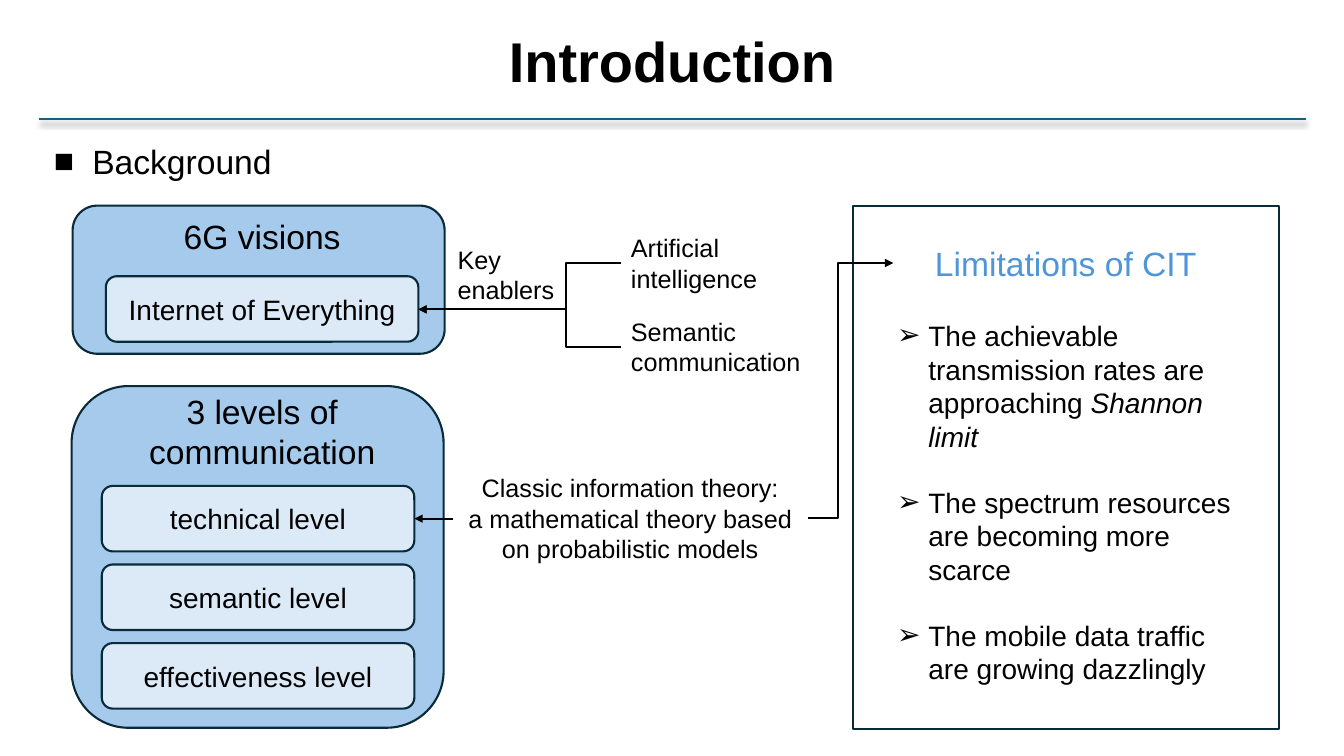
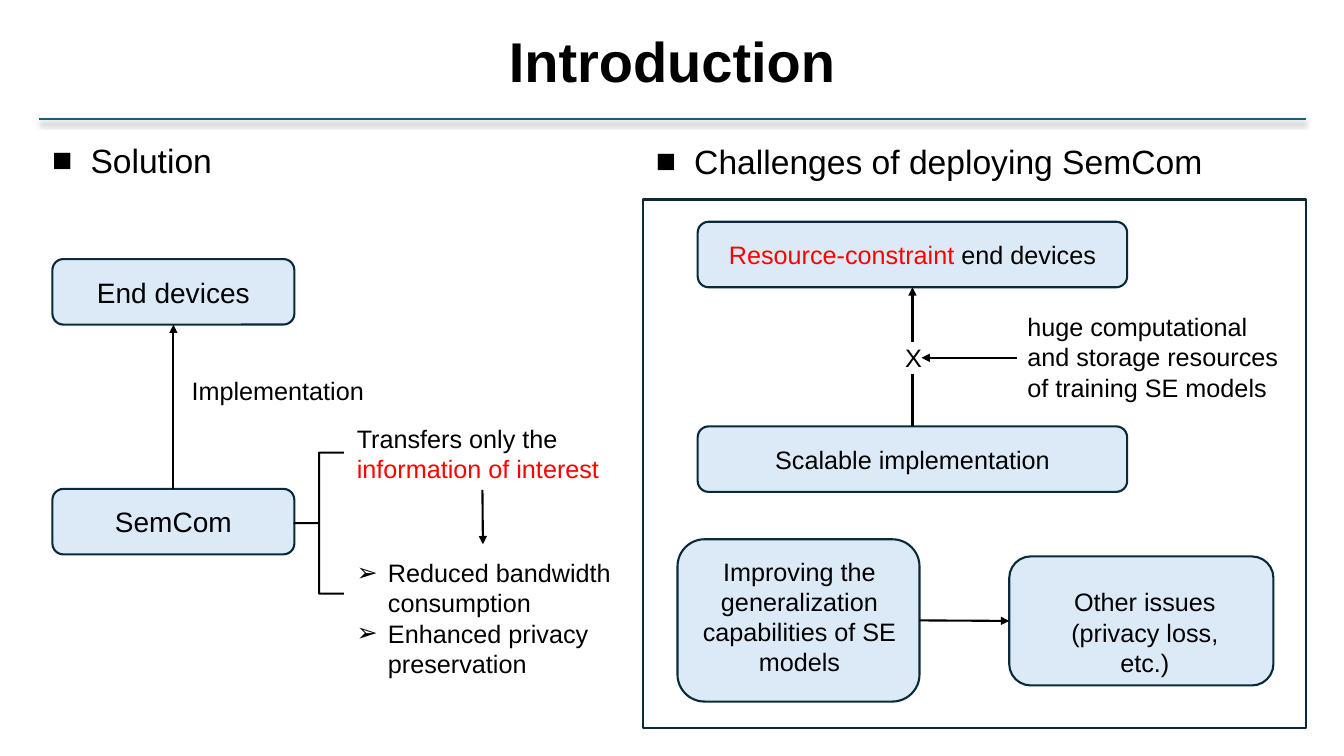
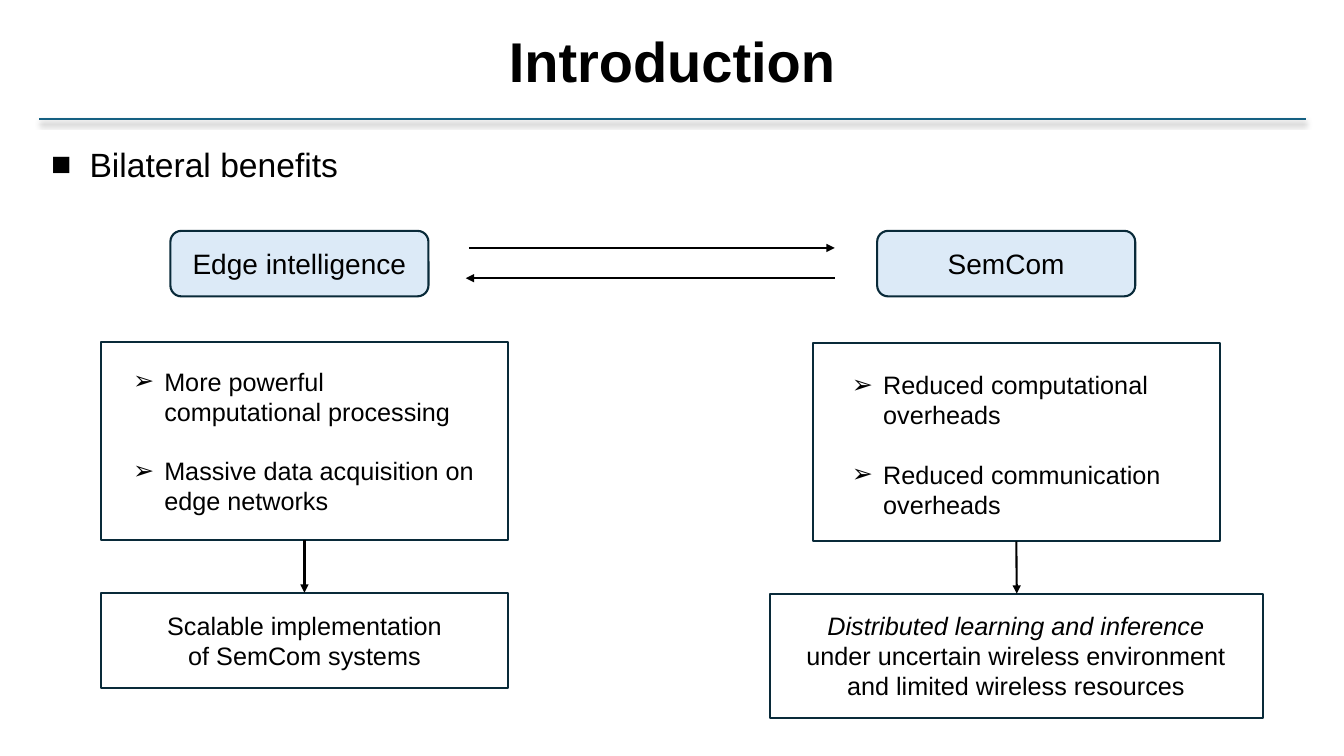
from lxml import etree
from pptx import Presentation
from pptx.dml.color import RGBColor
from pptx.enum.shapes import MSO_CONNECTOR, MSO_SHAPE
from pptx.enum.text import MSO_ANCHOR, PP_ALIGN
from pptx.oxml.ns import qn
from pptx.util import Inches, Pt

STRAIGHT, ELBOW = MSO_CONNECTOR.STRAIGHT, MSO_CONNECTOR.ELBOW
RECT, ROUND, BRACE = MSO_SHAPE.RECTANGLE, MSO_SHAPE.ROUNDED_RECTANGLE, MSO_SHAPE.LEFT_BRACE
LEFT, CENTER = PP_ALIGN.LEFT, PP_ALIGN.CENTER
TOP, MIDDLE = MSO_ANCHOR.TOP, MSO_ANCHOR.MIDDLE
SITE_TOP, SITE_LEFT, SITE_BOTTOM, SITE_RIGHT = range(4)

FONT = "Arial"
LINE_PT = 1.5
LINE_HEIGHT = 1.15
C = {"text": "000000", "edge": "092A39", "rule": "156082", "group": "A6CAEC",
     "node": "DCEAF7", "accent": "4E95D9", "alert": "FF0000"}

# Part styles: preset shape (None is a text box), fill, alignment, bullet, bullet indent
STYLES = {
    "group": (ROUND, "group", CENTER, None, 0),
    "node": (ROUND, "node", CENTER, None, 0),
    "panel": (RECT, None, CENTER, None, 0),
    "list panel": (RECT, None, LEFT, "➢", 0.31),
    "brace": (BRACE, None, CENTER, None, 0),
    "label": (None, None, LEFT, None, 0),
    "caption": (None, None, CENTER, None, 0),
    "list": (None, None, LEFT, "➢", 0.31),
    "heading": (None, None, CENTER, "■", 0.38),
}

# Content. Part: style, (x, y, w, h), size, paragraphs, options.
# A paragraph is a list of runs; a run is text or (text, "italic" or colour name).
# Link: begin, end, arrow, elbow share; an end is (x, y) or (part, site).
TITLE = "Introduction"
LEVELS = ["technical level", "semantic level", "effectiveness level"]
LEVEL_TOP, LEVEL_STEP, NODE_H = 4.82, 0.78, 0.65

background = {
    "levels": ("group", (0.71, 3.83, 3.69, 3.39), 24, []),
    "visions": ("group", (0.72, 2.04, 3.69, 1.47), 24, []),
    "heading": ("heading", (0.35, 1.35, 2.53, 0.5), 24, [["Background"]]),
    "visions title": ("caption", (1.58, 2.09, 2.04, 0.5), 24, [["6G visions"]]),
    "internet": ("node", (1.05, 2.74, 3.1, NODE_H), 20, [["Internet of Everything"]]),
    "levels title": ("caption", (0.89, 3.83, 3.42, 0.91), 24, [["3 levels of communication"]]),
    **{name: ("node", (1.01, LEVEL_TOP + i * LEVEL_STEP, 3.1, NODE_H), 20, [[name]])
       for i, name in enumerate(LEVELS)},
    "enablers": ("label", (4.44, 2.37, 1.5, 0.71), 18, [["Key enablers"]]),
    "ai": ("label", (6.16, 2.26, 1.5, 0.71), 18, [["Artificial intelligence"]]),
    "semantic": ("label", (6.16, 3.09, 2, 0.71), 18, [["Semantic communication"]]),
    "theory": ("caption", (4.49, 4.64, 3.52, 1.01), 18,
               [["Classic information theory:"],
                ["a mathematical theory based on probabilistic models"]]),
    "limits": ("panel", (8.46, 2.04, 4.23, 5.19), 20, []),
    "limits title": ("caption", (8.86, 2.36, 3.42, 0.5), 24, [[("Limitations of CIT", "accent")]]),
    "limits list": ("list", (8.8, 3.11, 3.64, 3.8), 20,
                    [["The achievable transmission rates are approaching ", ("Shannon limit", "italic")],
                     ["The spectrum resources are becoming more scarce"],
                     ["The mobile data traffic are growing dazzlingly"]], {"gap": 1}),
}
background_links = [
    ((6.16, 2.61), (4.15, 3.07), True, 0.27),
    ((6.16, 3.44), (4.15, 3.07), True, 0.27),
    (("theory", SITE_LEFT), (LEVELS[0], SITE_RIGHT), True, None),
    ((8.01, 5.14), (8.86, 2.61), True, 0.35),
]

solution = {
    "heading": ("heading", (0.39, 1.34, 1.84, 0.5), 24, [["Solution"]]),
    "devices": ("node", (0.52, 2.57, 2.4, NODE_H), 20, [["End devices"]]),
    "semcom": ("node", (0.52, 4.85, 2.4, NODE_H), 20, [["SemCom"]]),
    "implementation": ("caption", (1.78, 3.67, 1.95, 0.4), 18, [["Implementation"]]),
    "brace": ("brace", (2.92, 4.49, 0.49, 1.4), 18, []),
    "transfer": ("label", (3.44, 4.15, 2.69, 0.71), 18,
                 [["Transfers only the ", ("information of interest", "alert")]]),
    "gains": ("list", (3.44, 5.48, 2.9, 1.31), 18,
              [["Reduced bandwidth consumption"], ["Enhanced privacy preservation"]]),
    "challenges": ("heading", (6.34, 1.35, 5.75, 0.5), 24, [["Challenges of deploying SemCom"]]),
    "frame": ("panel", (6.38, 1.98, 6.57, 5.24), 18, []),
    "constraint": ("node", (6.92, 2.2, 4.26, NODE_H), 18,
                   [[("Resource-constraint", "alert"), " end devices"]]),
    "scalable": ("node", (6.92, 4.23, 4.26, NODE_H), 18, [["Scalable implementation"]]),
    "cross": ("caption", (8.7, 3.35, 0.72, 0.4), 18, [["X"]]),
    "cost": ("label", (10.09, 3.04, 2.71, 1.02), 18,
             [["huge computational and storage resources of training SE models"]]),
    "improving": ("node", (6.72, 5.35, 2.4, 1.61), 18,
                  [["Improving the generalization capabilities of SE models"]],
                  {"inset": (0.1, 0, 0.08, 0.08)}),
    "issues": ("node", (10.01, 5.52, 2.62, 1.28), 18,
               [["Other issues"], ["(privacy loss, etc.)"]], {"inset": (0.3, 0.22, 0.23, 0)}),
}
solution_links = [
    (("semcom", SITE_TOP), ("devices", SITE_BOTTOM), True, None),
    (("transfer", SITE_BOTTOM), (4.79, 5.4), True, None),
    ((9.05, 3.39), ("constraint", SITE_BOTTOM), True, None),
    (("scalable", SITE_TOP), (9.05, 3.71), False, None),
    (("cost", SITE_LEFT), (9.14, 3.55), True, None),
    (("improving", SITE_RIGHT), ("issues", SITE_LEFT), True, None),
]

benefits = {
    "heading": ("heading", (0.39, 1.38, 3.08, 0.5), 24, [["Bilateral benefits"]]),
    "edge": ("node", (1.69, 2.29, 2.56, NODE_H), 20, [["Edge intelligence"]]),
    "semcom": ("node", (8.7, 2.29, 2.56, NODE_H), 20, [["SemCom"]]),
    "edge gains": ("list panel", (1, 3.39, 4.04, 1.97), 18,
                   [["More powerful computational processing"],
                    ["Massive data acquisition on edge networks"]],
                   {"gap": 1, "inset": (0.32, 0.05, 0.32, 0.05)}),
    "semcom gains": ("list panel", (8.06, 3.4, 4.04, 1.97), 18,
                     [["Reduced computational overheads"], ["Reduced communication overheads"]],
                     {"gap": 1, "inset": (0.39, 0.08, 0.25, 0.03)}),
    "edge result": ("panel", (1, 5.88, 4.04, 0.95), 18,
                    [["Scalable implementation of SemCom systems"]],
                    {"inset": (0.65, 0.05, 0.65, 0.05)}),
    "semcom result": ("panel", (7.64, 5.89, 4.89, 1.23), 18,
                      [[("Distributed learning and inference ", "italic"),
                        "under uncertain wireless environment and limited wireless resources"]],
                      {"inset": (0.27, 0.05, 0.29, 0.05)}),
}
benefits_links = [
    ((4.65, 2.46), (8.28, 2.46), True, None),
    ((8.28, 2.76), (4.62, 2.76), True, None),
    (("edge gains", SITE_BOTTOM), ("edge result", SITE_TOP), True, None),
    (("semcom gains", SITE_BOTTOM), ("semcom result", SITE_TOP), True, None),
]

SLIDES = [(background, background_links), (solution, solution_links), (benefits, benefits_links)]


def rgb(name):
    return RGBColor.from_string(C[name])


def add_text(sp, paras, size, align, anchor, bullet=None, indent=0, gap=0, inset=None, bold=False):
    tf = sp.text_frame
    tf.word_wrap = True
    tf.vertical_anchor = anchor
    if inset:
        tf.margin_left, tf.margin_top, tf.margin_right, tf.margin_bottom = map(Inches, inset)
    for i, runs in enumerate(paras):
        p = tf.add_paragraph() if i else tf.paragraphs[0]
        p.alignment = align
        if bullet:
            pPr = p._p.get_or_add_pPr()
            pPr.set("marL", str(Inches(indent)))
            pPr.set("indent", str(-Inches(indent)))
            etree.SubElement(pPr, qn("a:buFont"), typeface=FONT)
            etree.SubElement(pPr, qn("a:buChar"), char=bullet)
        if i and gap:
            p.space_before = Pt(round(gap * size * LINE_HEIGHT, 1))
        for run in runs:
            text, look = (run, None) if isinstance(run, str) else run
            r = p.add_run()
            r.text = text
            r.font.name, r.font.size, r.font.bold = FONT, Pt(size), bold
            r.font.italic = look == "italic"
            r.font.color.rgb = rgb(look if look in C else "text")


def add_part(slide, style, at, size, paras, opts=None):
    preset, fill, align, bullet, indent = STYLES[style]
    box = [Inches(v) for v in at]
    if preset is None:
        sp = slide.shapes.add_textbox(*box)
    else:
        sp = slide.shapes.add_shape(preset, *box)
        sp.shadow.inherit = False
        sp.line.color.rgb, sp.line.width = rgb("edge"), Pt(LINE_PT)
        if fill:
            sp.fill.solid()
            sp.fill.fore_color.rgb = rgb(fill)
        else:
            sp.fill.background()
    if preset == BRACE:
        sp.line.color.rgb = rgb("text")
        sp.adjustments[0] = 0
    if paras:
        add_text(sp, paras, size, align, MIDDLE if preset else TOP, bullet, indent, **(opts or {}))
    return sp


def add_line(slide, begin, end, color="text", arrow=False, elbow=None):
    """Draw a connector; return it with its effect list."""
    points = [Inches(v) for v in begin + end]
    line = slide.shapes.add_connector(ELBOW if elbow else STRAIGHT, *points)
    line.line.color.rgb, line.line.width = rgb(color), Pt(LINE_PT)
    spPr = line._element.spPr
    if arrow:
        etree.SubElement(spPr.find(qn("a:ln")), qn("a:tailEnd"), type="triangle")
    if elbow:
        guides = spPr.find(qn("a:prstGeom")).get_or_add_avLst()
        etree.SubElement(guides, qn("a:gd"), name="adj1", fmla=f"val {round(elbow * 100000)}")
    return line, etree.SubElement(spPr, qn("a:effectLst"))


def add_link(slide, shapes, begin, end, arrow, elbow):
    ends = [(0, 0) if isinstance(e[0], str) else e for e in (begin, end)]
    line, _ = add_line(slide, *ends, arrow=arrow, elbow=elbow)
    for e, join in ((begin, line.begin_connect), (end, line.end_connect)):
        if isinstance(e[0], str):
            join(shapes[e[0]], e[1])


def add_header(slide):
    sp = slide.shapes.add_textbox(Inches(4.94), Inches(0.21), Inches(3.45), Inches(0.77))
    add_text(sp, [[TITLE]], 40, CENTER, TOP, bold=True)
    _, effects = add_line(slide, (0.39, 1.18), (12.95, 1.18), "rule")
    shadow = etree.SubElement(effects, qn("a:outerShdw"), blurRad=str(Pt(4)), dist=str(Pt(3)),
                              dir="5400000", algn="t", rotWithShape="0")
    color = etree.SubElement(shadow, qn("a:srgbClr"), val=C["text"])
    etree.SubElement(color, qn("a:alpha"), val="40000")


def main():
    prs = Presentation()
    prs.slide_width, prs.slide_height = Inches(13.33), Inches(7.5)
    for parts, links in SLIDES:
        slide = prs.slides.add_slide(prs.slide_layouts[6])
        add_header(slide)
        shapes = {name: add_part(slide, *part) for name, part in parts.items()}
        for link in links:
            add_link(slide, shapes, *link)
    prs.save("out.pptx")


if __name__ == "__main__":
    main()
